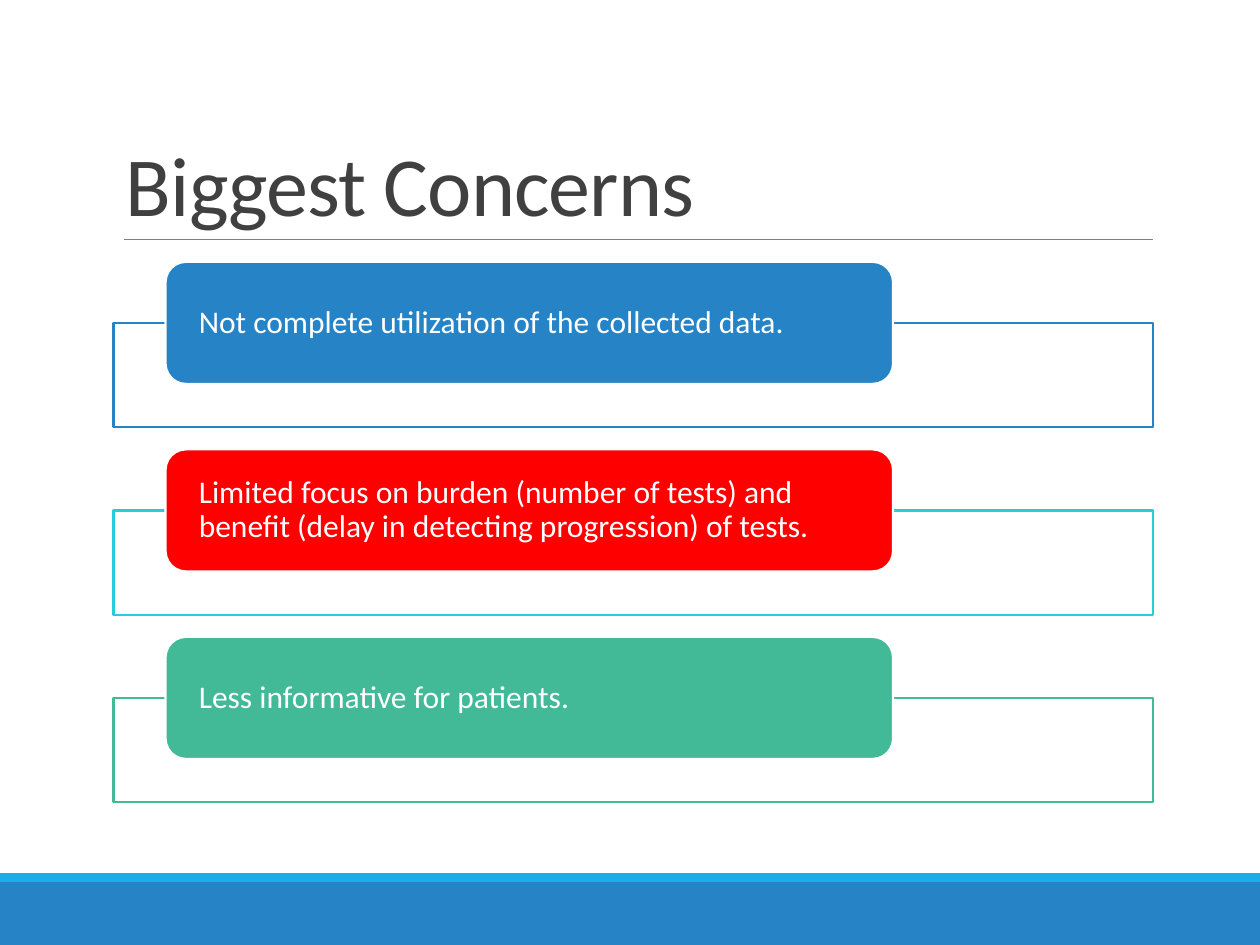
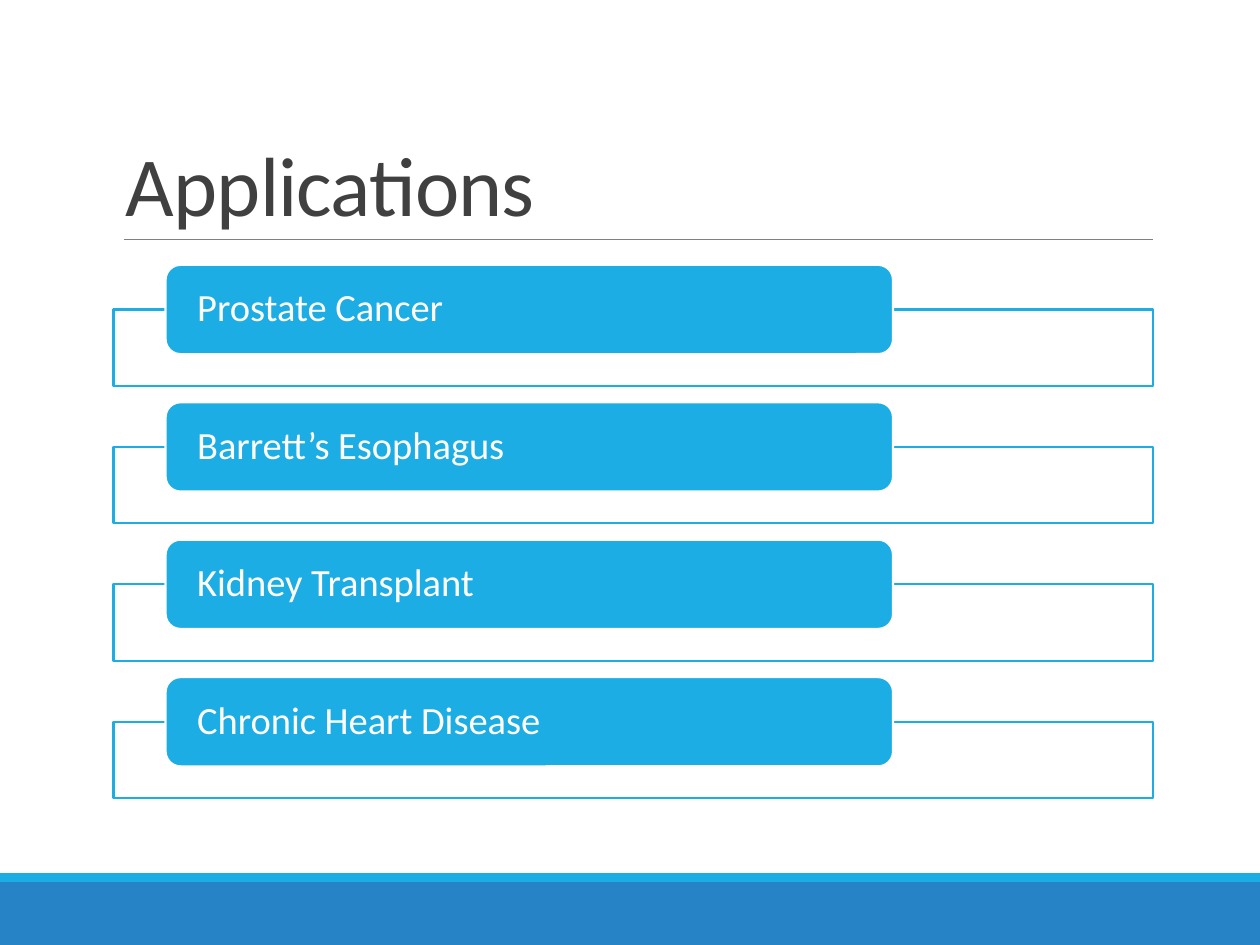
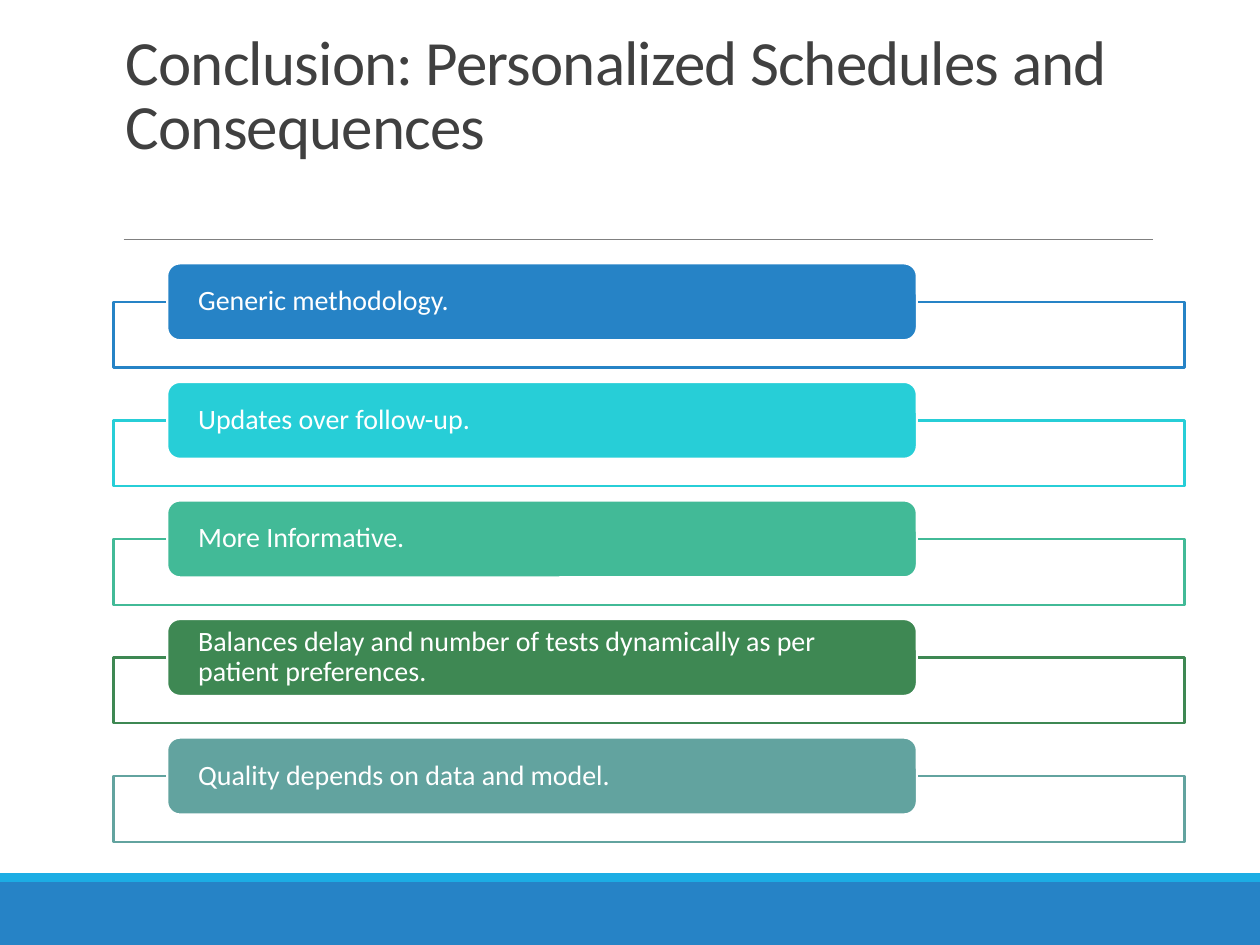
from lxml.etree import SubElement
from pptx import Presentation
from pptx.dml.color import RGBColor
from pptx.enum.shapes import MSO_CONNECTOR, MSO_SHAPE
from pptx.enum.text import MSO_ANCHOR, PP_ALIGN
from pptx.oxml.ns import qn
from pptx.util import Cm, Pt

BLUE, SKY, CYAN, MINT = "2683C6", "1CADE4", "27CED7", "42BA97"
GREEN, TEAL, RED = "3E8853", "62A39F", "FF0000"
WHITE, INK, GRAY = "FFFFFF", "404040", "808080"
FONT = "Calibri"

SLIDE_WIDTH, SLIDE_HEIGHT = 25.4, 19.05
LEFT, TITLE_WIDTH = 2.29, 20.95
CARD_INDENT, CARD_SHARE, FRAME_RATIO = 0.05, 0.7, 0.855

SLIDES = [
    {
        "title": "Biggest Concerns",
        "title_size": 48, "title_top": 0.79, "title_bottom": 4.83,
        "width": 20.95, "top": 5.28, "step": 3.78, "card_height": 2.46, "size": 18,
        "cards": [
            ("Not complete utilization of the collected data.", BLUE, BLUE),
            ("Limited focus on burden (number of tests) and benefit "
             "(delay in detecting progression) of tests.", RED, CYAN),
            ("Less informative for patients.", MINT, MINT),
        ],
    },
    {
        "title": "Applications",
        "title_size": 48, "title_top": 0.79, "title_bottom": 4.83,
        "width": 20.95, "top": 5.34, "step": 2.77, "card_height": 1.8, "size": 22,
        "cards": [
            ("Prostate Cancer", SKY, SKY),
            ("Barrett’s Esophagus", SKY, SKY),
            ("Kidney Transplant", SKY, SKY),
            ("Chronic Heart Disease", SKY, SKY),
        ],
    },
    {
        "title": "Conclusion: Personalized Schedules and Consequences",
        "title_size": 36, "title_top": 0.5, "title_bottom": 3.4,
        "width": 21.59, "top": 5.31, "step": 2.39, "card_height": 1.55, "size": 16,
        "cards": [
            ("Generic methodology.", BLUE, BLUE),
            ("Updates over follow-up.", CYAN, CYAN),
            ("More Informative.", MINT, MINT),
            ("Balances delay and number of tests dynamically as per "
             "patient preferences.", GREEN, GREEN),
            ("Quality depends on data and model.", TEAL, TEAL),
        ],
    },
]


def color(value):
    return RGBColor.from_string(value)


def add_box(slide, kind, left, top, width, height, fill, line=None):
    shape = slide.shapes.add_shape(kind, Cm(left), Cm(top), Cm(width), Cm(height))
    shape.shadow.inherit = False
    shape.fill.solid()
    shape.fill.fore_color.rgb = color(fill)
    if line:
        shape.line.color.rgb = color(line)
        shape.line.width = Pt(1.25)
    else:
        shape.line.fill.background()
    return shape


def write(shape, text, size, text_color, anchor, line_spacing):
    frame = shape.text_frame
    frame.word_wrap = True
    frame.vertical_anchor = anchor
    paragraph = frame.paragraphs[0]
    paragraph.text = text
    paragraph.alignment = PP_ALIGN.LEFT
    paragraph.line_spacing = line_spacing
    paragraph.font.name = FONT
    paragraph.font.size = Pt(size)
    paragraph.font.color.rgb = color(text_color)
    return paragraph


def add_background(slide):
    add_box(slide, MSO_SHAPE.RECTANGLE, 0, 17.78, SLIDE_WIDTH, 1.27, BLUE)
    add_box(slide, MSO_SHAPE.RECTANGLE, 0, 17.6, SLIDE_WIDTH, 0.18, SKY)
    rule = slide.shapes.add_connector(
        MSO_CONNECTOR.STRAIGHT, Cm(2.49), Cm(4.83), Cm(23.24), Cm(4.83))
    rule.line.color.rgb = color(GRAY)
    rule.line.width = Pt(0.5)
    SubElement(rule._element.spPr, qn("a:effectLst"))


def add_title(slide, content):
    top = content["title_top"]
    box = slide.shapes.add_textbox(
        Cm(LEFT), Cm(top), Cm(TITLE_WIDTH), Cm(content["title_bottom"] - top))
    paragraph = write(box, content["title"], content["title_size"], INK,
                      MSO_ANCHOR.BOTTOM, 0.85)
    paragraph.runs[0]._r.get_or_add_rPr().set("spc", "-50")


def add_cards(slide, content):
    width, height = content["width"], content["card_height"]
    for index, (text, fill, outline) in enumerate(content["cards"]):
        top = content["top"] + index * content["step"]
        frame = add_box(slide, MSO_SHAPE.RECTANGLE, LEFT, top + height / 2,
                        width, height * FRAME_RATIO, WHITE, outline)
        white_fill = frame._element.spPr.find(qn("a:solidFill"))
        SubElement(white_fill[0], qn("a:alpha"), val="90000")
        card = add_box(slide, MSO_SHAPE.ROUNDED_RECTANGLE, LEFT + width * CARD_INDENT,
                       top, width * CARD_SHARE, height, fill, WHITE)
        text_frame = card.text_frame
        text_frame.margin_left = text_frame.margin_right = Cm(0.55)
        text_frame.margin_top = text_frame.margin_bottom = 0
        write(card, text, content["size"], WHITE, MSO_ANCHOR.MIDDLE, 0.9)


def main():
    presentation = Presentation()
    presentation.slide_width = Cm(SLIDE_WIDTH)
    presentation.slide_height = Cm(SLIDE_HEIGHT)
    for content in SLIDES:
        slide = presentation.slides.add_slide(presentation.slide_layouts[6])
        add_background(slide)
        add_title(slide, content)
        add_cards(slide, content)
    presentation.save("out.pptx")


if __name__ == "__main__":
    main()
